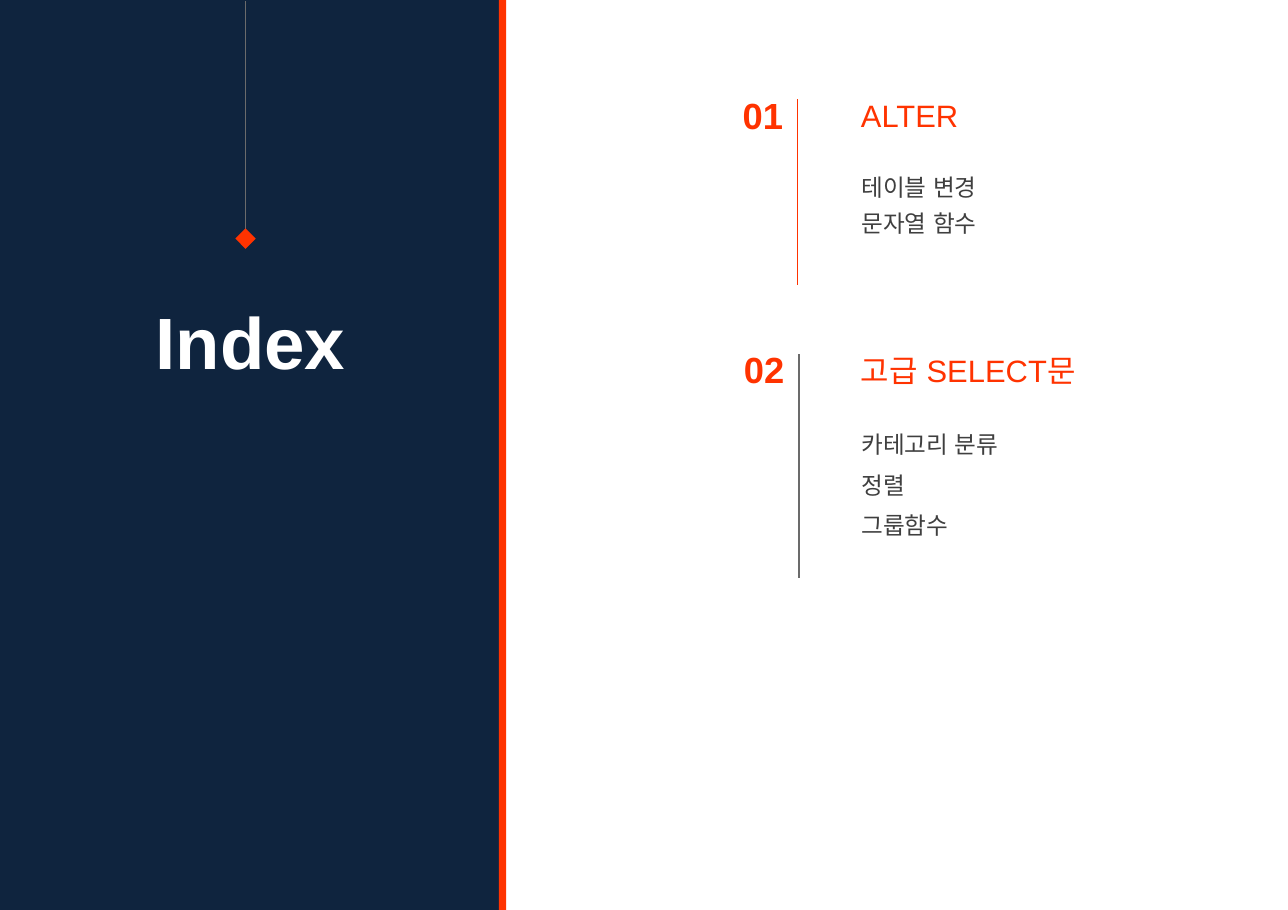
"""Build the index slide with its navy title panel and two numbered sections."""
from dataclasses import dataclass

from lxml.etree import SubElement
from pptx import Presentation
from pptx.dml.color import RGBColor
from pptx.enum.shapes import MSO_CONNECTOR, MSO_SHAPE
from pptx.enum.text import MSO_ANCHOR, MSO_AUTO_SIZE, PP_ALIGN
from pptx.oxml.ns import qn
from pptx.util import Pt

ORANGE = RGBColor(0xFF, 0x33, 0x00)
NAVY = RGBColor(0x0F, 0x24, 0x3E)
WHITE = RGBColor(0xFF, 0xFF, 0xFF)
CHARCOAL = RGBColor(0x3F, 0x3F, 0x3F)
GREY = RGBColor(0x6B, 0x6B, 0x6B)
FONT = "Arial"
WIDTH, HEIGHT = 709.2, 501.1
PANEL_W, EDGE_W = 274.7, 4
AXIS_X, AXIS_END = 135.2, 131.4
DIAMOND = 11.2


@dataclass(frozen=True)
class Box:
    x: float
    y: float
    w: float
    h: float

    def lengths(self) -> tuple:
        return Pt(self.x), Pt(self.y), Pt(self.w), Pt(self.h)


@dataclass(frozen=True)
class Style:
    size: float
    color: RGBColor
    bold: bool = False
    align: PP_ALIGN = PP_ALIGN.LEFT
    gap: float = 0


@dataclass(frozen=True)
class Section:
    number: str
    heading: str
    items: tuple[str, ...]
    top: float
    list_top: float
    gap: float
    rule_x: float
    rule_h: float
    rule_color: RGBColor


SECTIONS = (
    Section("01", "ALTER", ("테이블 변경", "문자열 함수"),
            47.5, 91.4, 4.2, 439.2, 102.2, ORANGE),
    Section("02", "고급 SELECT문", ("카테고리 분류", "정렬", "그룹함수"),
            187.9, 233.3, 6.7, 439.9, 123.1, GREY),
)


def add_block(s, kind: MSO_SHAPE, box: Box, color: RGBColor) -> None:
    sp = s.shapes.add_shape(kind, *box.lengths())
    sp.shadow.inherit = False
    sp.fill.solid()
    sp.fill.fore_color.rgb = color
    sp.line.fill.background()


def add_rule(s, x: float, top: float, bottom: float, color: RGBColor) -> None:
    cxn = s.shapes.add_connector(MSO_CONNECTOR.STRAIGHT, Pt(x), Pt(top), Pt(x), Pt(bottom))
    cxn.line.color.rgb = color
    cxn.line.width = Pt(0.75)
    SubElement(cxn._element.spPr, qn("a:effectLst"))


def write(sp, box: Box, lines: tuple[str, ...], style: Style) -> None:
    sp.left, sp.top, sp.width, sp.height = box.lengths()
    tf = sp.text_frame
    tf.text = "\n".join(lines)
    tf.word_wrap = True
    tf.auto_size = MSO_AUTO_SIZE.NONE
    tf.vertical_anchor = MSO_ANCHOR.TOP
    for p in tf.paragraphs:
        p.alignment = style.align
        p.space_before, p.space_after = Pt(0), Pt(style.gap)
        pPr = p._p.get_or_add_pPr()
        pPr.set("marL", "0")
        pPr.set("indent", "0")
        SubElement(pPr, qn("a:buNone"))
        for r in p.runs:
            r.font.name = FONT
            r.font.size = Pt(style.size)
            r.font.bold = style.bold
            r.font.color.rgb = style.color
            SubElement(r._r.get_or_add_rPr(), qn("a:ea"), typeface=FONT)


def add_text(s, box: Box, text: str, style: Style) -> None:
    write(s.shapes.add_textbox(*box.lengths()), box, (text,), style)


def add_section(s, body, sec: Section) -> None:
    number_style = Style(20, ORANGE, True, PP_ALIGN.CENTER)
    add_text(s, Box(sec.rule_x - 50.4, sec.top, 62.6, 31.7), sec.number, number_style)
    add_text(s, Box(467, sec.top + 2.2, 205, 28), sec.heading, Style(17, ORANGE))
    rule_top = sec.top + 7.2
    add_rule(s, sec.rule_x, rule_top, rule_top + sec.rule_h, sec.rule_color)
    height = 25.5 * len(sec.items)
    write(body, Box(467.3, sec.list_top, 171, height), sec.items,
          Style(13, CHARCOAL, gap=sec.gap))


def main() -> None:
    prs = Presentation()
    prs.slide_width, prs.slide_height = Pt(WIDTH), Pt(HEIGHT)
    s = prs.slides.add_slide(prs.slide_layouts[3])
    title, *bodies = s.placeholders
    add_block(s, MSO_SHAPE.RECTANGLE, Box(0, 0, PANEL_W, HEIGHT), NAVY)
    add_block(s, MSO_SHAPE.RECTANGLE, Box(PANEL_W, 0, EDGE_W, HEIGHT), ORANGE)
    add_rule(s, AXIS_X, 0.7, AXIS_END, GREY)
    add_block(s, MSO_SHAPE.DIAMOND,
              Box(AXIS_X - DIAMOND / 2, AXIS_END - DIAMOND / 2, DIAMOND, DIAMOND), ORANGE)
    s.shapes._spTree.append(title._element)
    write(title, Box(0, 159.8, 275.8, 96.5), ("Index",),
          Style(40, WHITE, True, PP_ALIGN.CENTER))
    for body, sec in zip(bodies, SECTIONS):
        add_section(s, body, sec)
    prs.save("out.pptx")


main()
